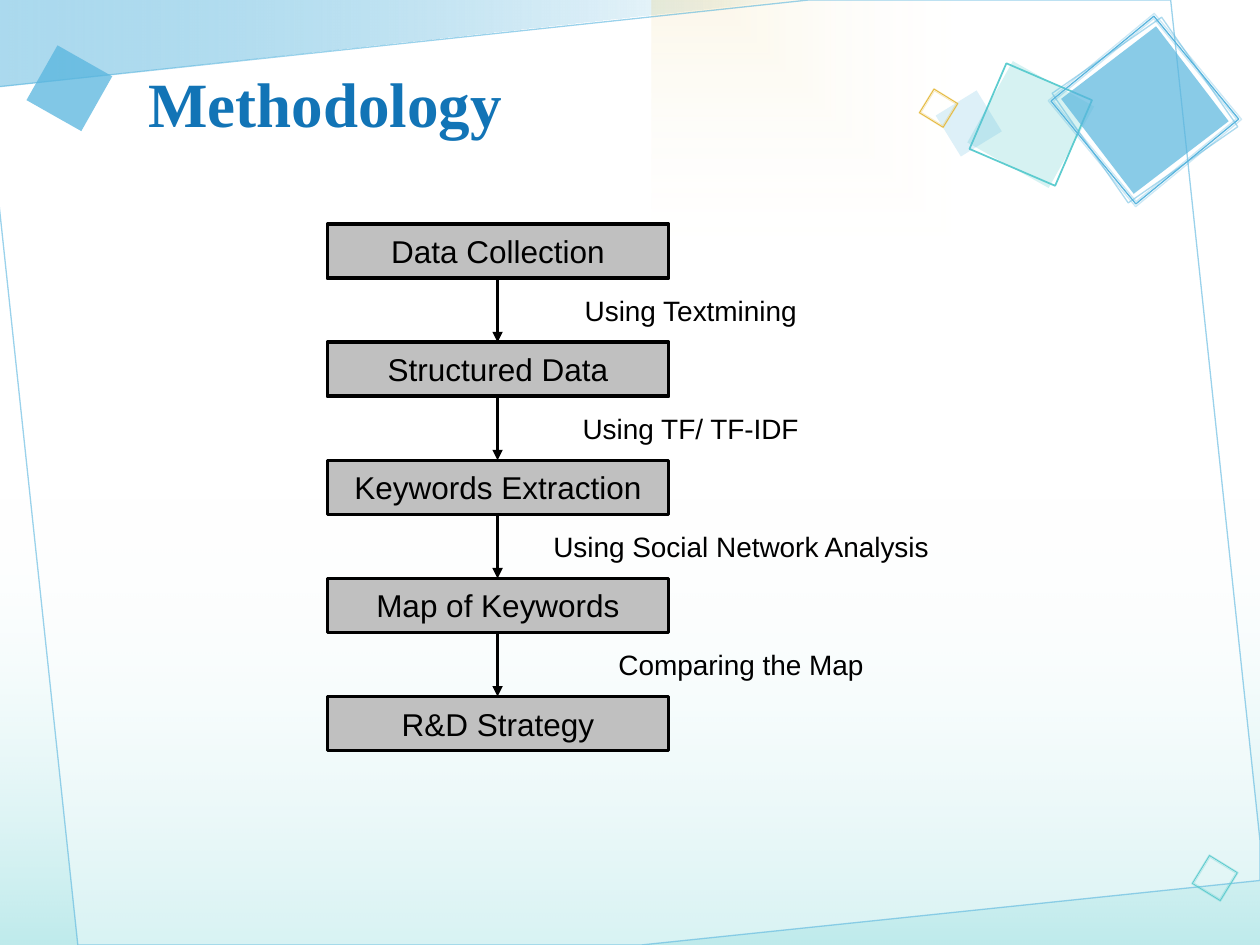
from lxml.etree import SubElement
from pptx import Presentation
from pptx.dml.color import RGBColor
from pptx.enum.shapes import MSO_CONNECTOR, MSO_SHAPE
from pptx.enum.text import MSO_ANCHOR, MSO_AUTO_SIZE, PP_ALIGN
from pptx.oxml import parse_xml
from pptx.oxml.ns import nsdecls, qn
from pptx.util import Cm, Pt

COLORS = {
    "blue": "58B5DE", "teal": "5DCCCF", "gold": "E6BA3E", "white": "FFFFFF",
    "title": "1274B6", "gray": "C0C0C0", "black": "000000",
}
STEPS = ["Data Collection", "Structured Data", "Keywords Extraction",
         "Map of Keywords", "R&D Strategy"]
METHODS = [("Using Textmining", 6.71), ("Using TF/ TF-IDF", 6.71),
           ("Using Social Network Analysis", 8.74), ("Comparing the Map", 8.74)]
STEP_LEFT, STEP_TOP, STEP_WIDTH, STEP_HEIGHT, STEP_PITCH = 6.6, 4.52, 6.88, 1.09, 2.38
ARROW_X = 10.03
METHOD_LEFT, METHOD_TOP, METHOD_HEIGHT = 10.57, 5.79, 0.94

SQUARES = [
    (20.78, 2.51, 1.88, 299.2, dict(fill="teal", fill_alpha=25)),
    (20.78, 2.51, 1.88, 293.3, dict(line="teal", weight=1)),
    (19.53, 2.49, 0.97, 328.4, dict(fill="blue", fill_alpha=20)),
    (18.92, 2.18, 0.56, 211.6, dict(line="gold", weight=0.5)),
    (18.92, 2.18, 0.51, 211.6, dict(line="gold", weight=0.5, line_alpha=30)),
    (18.92, 2.18, 0.58, 211.6, dict(line="gold", weight=0.5, line_alpha=30)),
    (23.08, 2.22, 2.41, 52.6, dict(fill="blue", fill_alpha=70)),
    (23.08, 2.22, 2.69, 50.5, dict(line="blue")),
    (23.08, 2.22, 2.62, 50.5, dict(line="blue", line_alpha=30)),
    (23.08, 2.22, 2.77, 50.5, dict(line="blue", line_alpha=30)),
    (23.08, 2.22, 2.69, 55.2, dict(line="blue", line_alpha=50)),
    (1.4, 1.78, 1.27, 29.5, dict(fill="blue", fill_alpha=75)),
    (24.49, 17.7, 0.66, 211.6, dict(line="teal", weight=0.5)),
    (24.49, 17.7, 0.61, 211.6, dict(line="teal", weight=0.5, line_alpha=30)),
    (24.49, 17.7, 0.69, 211.6, dict(line="teal", weight=0.5, line_alpha=30)),
]


def color(name):
    return RGBColor.from_string(COLORS[name])


def paint(fill, name, alpha=100):
    fill.solid()
    fill.fore_color.rgb = color(name)
    if alpha < 100:
        element = fill._xPr.find(qn("a:solidFill"))[0]
        SubElement(element, qn("a:alpha"), val=str(alpha * 1000))


def style(shape, fill=None, fill_alpha=100, line=None, line_alpha=100, weight=0.75):
    shape.shadow.inherit = False
    if fill:
        paint(shape.fill, fill, fill_alpha)
    else:
        shape.fill.background()
    if line:
        paint(shape.line.fill, line, line_alpha)
        shape.line.width = Pt(weight)
    else:
        shape.line.fill.background()


def add_gradient(shape, stops, direction):
    style(shape)
    marks = "".join(
        f'<a:gs pos="{position * 1000}"><a:srgbClr val="{COLORS[name]}">'
        f'<a:alpha val="{alpha * 1000}"/></a:srgbClr></a:gs>'
        for position, name, alpha in stops)
    gradient = parse_xml(f'<a:gradFill {nsdecls("a")} rotWithShape="1">'
                         f'<a:gsLst>{marks}</a:gsLst>{direction}</a:gradFill>')
    properties = shape._element.spPr
    properties.replace(properties.find(qn("a:noFill")), gradient)


def add_rectangle(page, left, top, width, height):
    return page.shapes.add_shape(MSO_SHAPE.RECTANGLE, Cm(left), Cm(top), Cm(width), Cm(height))


def add_polygon(page, points):
    corners = [(Cm(x), Cm(y)) for x, y in points]
    builder = page.shapes.build_freeform(*corners[0])
    builder.add_line_segments(corners[1:], close=True)
    return builder.convert_to_shape()


def add_square(page, center_x, center_y, size, rotation, look):
    square = add_rectangle(page, center_x - size / 2, center_y - size / 2, size, size)
    square.rotation = rotation
    style(square, **look)


def write(shape, text, size=18, font="Arial", ink="black", bold=False,
          align=PP_ALIGN.CENTER, anchor=MSO_ANCHOR.MIDDLE):
    frame = shape.text_frame
    frame.word_wrap = True
    frame.vertical_anchor = anchor
    paragraph = frame.paragraphs[0]
    paragraph.alignment = align
    span = paragraph.add_run()
    span.text = text
    span.font.size = Pt(size)
    span.font.name = font
    span.font.bold = bold
    span.font.color.rgb = color(ink)


def add_text(page, left, top, width, height, text, **look):
    box = page.shapes.add_textbox(Cm(left), Cm(top), Cm(width), Cm(height))
    write(box, text, **look)
    return box


def add_arrow(page, x, top, bottom):
    arrow = page.shapes.add_connector(MSO_CONNECTOR.STRAIGHT, Cm(x), Cm(top), Cm(x), Cm(bottom))
    paint(arrow.line.fill, "black")
    arrow.line.width = Pt(1.5)
    SubElement(arrow.line._ln, qn("a:tailEnd"), type="triangle")
    SubElement(arrow._element.spPr, qn("a:effectLst"))


def add_backdrop(page):
    banner = add_polygon(page, [(0, 0), (0, 1.75), (16.08, 0)])
    add_gradient(banner, [(0, "blue", 50), (100, "white", 100)], '<a:lin ang="0" scaled="0"/>')
    floor = add_rectangle(page, 0, 9.96, 25.4, 9.09)
    add_gradient(floor, [(0, "white", 0), (100, "teal", 40)], '<a:lin ang="5400000" scaled="0"/>')
    glow = add_rectangle(page, 13.13, 0, 12.27, 11.43)
    add_gradient(glow, [(0, "gold", 20), (100, "white", 0)],
                 '<a:path path="rect"><a:fillToRect r="100000" b="100000"/></a:path>')
    glow._element.spPr.find(qn("a:xfrm")).set("flipH", "1")
    sheet = add_polygon(page, [(-0.03, 4.01), (1.57, 19.05), (12.93, 19.05), (25.4, 17.75),
                               (25.4, 16.94), (23.6, 0), (16.31, 0), (-0.03, 1.75)])
    style(sheet, fill="white", fill_alpha=40, line="blue", line_alpha=60)
    for square in SQUARES:
        add_square(page, *square)


def add_flow(page):
    for index, name in enumerate(STEPS):
        step = add_rectangle(page, STEP_LEFT, STEP_TOP + index * STEP_PITCH,
                             STEP_WIDTH, STEP_HEIGHT)
        style(step, fill="gray", line="black", weight=2)
        write(step, name)
    for index, (name, width) in enumerate(METHODS):
        offset = index * STEP_PITCH
        add_arrow(page, ARROW_X, STEP_TOP + STEP_HEIGHT + offset, STEP_TOP + STEP_PITCH + offset)
        label = add_text(page, METHOD_LEFT, METHOD_TOP + offset, width, METHOD_HEIGHT,
                         name, size=16, anchor=MSO_ANCHOR.TOP)
        label.text_frame.auto_size = MSO_AUTO_SIZE.SHAPE_TO_FIT_TEXT


def main():
    deck = Presentation()
    deck.slide_width, deck.slide_height = Cm(25.4), Cm(19.05)
    page = deck.slides.add_slide(deck.slide_layouts[6])
    add_backdrop(page)
    add_text(page, 2.74, 0.76, 16.08, 2.62, "Methodology", size=36, font="Times New Roman",
             ink="title", bold=True, align=PP_ALIGN.LEFT)
    add_flow(page)
    deck.save("out.pptx")


main()
